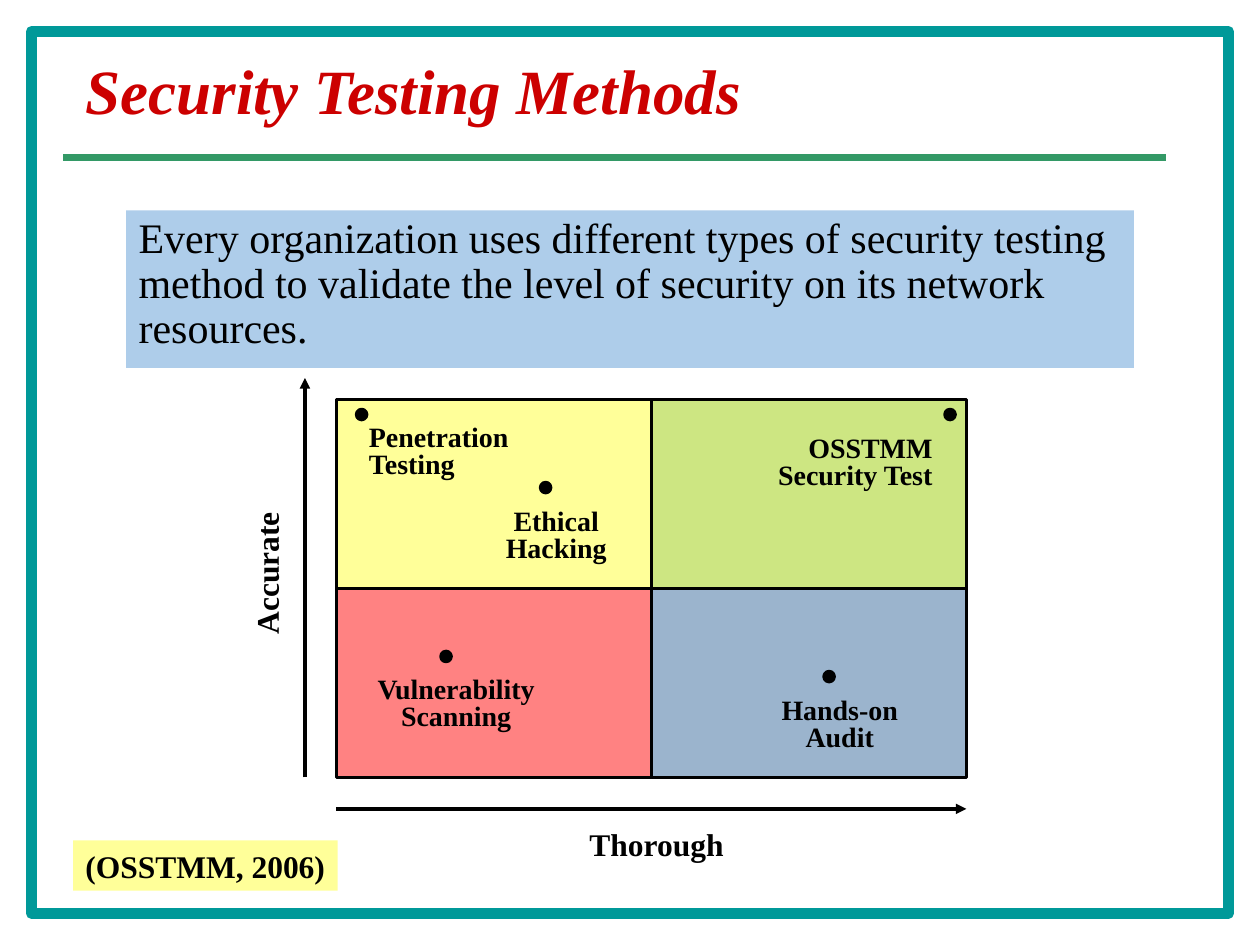
from typing import NamedTuple

from pptx import Presentation
from pptx.dml.color import RGBColor
from pptx.enum.shapes import MSO_CONNECTOR, MSO_SHAPE
from pptx.enum.text import MSO_ANCHOR, MSO_AUTO_SIZE, PP_ALIGN
from pptx.oxml.ns import qn
from pptx.util import Inches, Pt
from lxml.etree import SubElement

FONT = "Times New Roman"
COLORS = {
    "frame": "009999", "title": "CC0000", "rule": "339966", "black": "000000",
    "blue": "5B9BD5", "yellow": "FFFF99", "lime": "99CC00", "red": "FF0000",
    "steel": "336699",
}
GRID_LEFT, GRID_TOP, CELL_WIDTH, CELL_HEIGHT = 2.67, 3.17, 2.5, 1.5
DOT_SIZE = 0.08
TINT = 49


class Quadrant(NamedTuple):
    column: int
    row: int
    color: str
    opacity: int


class Method(NamedTuple):
    text: str
    dot: tuple[float, float]
    label: tuple[float, float, float]  # left, top, width
    align: PP_ALIGN = PP_ALIGN.CENTER


QUADRANTS = [
    Quadrant(0, 0, "yellow", 100),
    Quadrant(1, 0, "lime", TINT),
    Quadrant(0, 1, "red", TINT),
    Quadrant(1, 1, "steel", TINT),
]
METHODS = [
    Method("Penetration\nTesting", (2.83, 3.25), (2.83, 3.33, 1.33), PP_ALIGN.LEFT),
    Method("Ethical\nHacking", (4.29, 3.83), (3.83, 4, 1.17)),
    Method("OSSTMM Security Test", (7.5, 3.25), (5.83, 3.42, 1.67), PP_ALIGN.RIGHT),
    Method("Vulnerability\nScanning", (3.5, 5.17), (2.83, 5.33, 1.58)),
    Method("Hands-on Audit", (6.54, 5.33), (6.08, 5.5, 1.17)),
]


def rgb(name: str) -> RGBColor:
    return RGBColor.from_string(COLORS[name])


def set_fill(shape, color: str, opacity: int = 100) -> None:
    shape.fill.solid()
    shape.fill.fore_color.rgb = rgb(color)
    if opacity < 100:
        color_element = shape.fill._xPr.find(qn("a:solidFill"))[0]
        SubElement(color_element, qn("a:alpha")).set("val", str(opacity * 1000))


def place(shape, left: float, top: float, width: float, height: float) -> None:
    shape.left, shape.top = Inches(left), Inches(top)
    shape.width, shape.height = Inches(width), Inches(height)


def write_text(shape, text: str, *, size: float, color: str = "black",
               bold: bool = False, italic: bool = False, spacing: float = 1.0,
               align: PP_ALIGN = PP_ALIGN.LEFT, wrap: bool = True,
               anchor: MSO_ANCHOR = MSO_ANCHOR.TOP) -> None:
    frame = shape.text_frame
    frame.text = text
    frame.word_wrap = wrap
    frame.auto_size = MSO_AUTO_SIZE.NONE
    frame.vertical_anchor = anchor
    for paragraph in frame.paragraphs:
        paragraph.alignment = align
        paragraph.line_spacing = spacing
        paragraph.space_before = Pt(0)
        for run in paragraph.runs:
            font = run.font
            font.name, font.size = FONT, Pt(size)
            font.bold, font.italic = bold, italic
            font.color.rgb = rgb(color)


def add_box(slide, kind: MSO_SHAPE, left: float, top: float, width: float,
            height: float, *, fill: str | None, line: str, line_width: float,
            opacity: int = 100):
    shape = slide.shapes.add_shape(
        kind, Inches(left), Inches(top), Inches(width), Inches(height))
    shape.shadow.inherit = False
    if fill:
        set_fill(shape, fill, opacity)
    else:
        shape.fill.background()
    shape.line.color.rgb = rgb(line)
    shape.line.width = Pt(line_width)
    return shape


def add_label(slide, text: str, left: float, top: float, width: float,
              height: float, **text_format):
    label = slide.shapes.add_textbox(
        Inches(left), Inches(top), Inches(width), Inches(height))
    write_text(label, text, bold=True, **text_format)
    return label


def add_line(slide, start: tuple[float, float], end: tuple[float, float], *,
             color: str, width: float, arrow: bool = False) -> None:
    line = slide.shapes.add_connector(
        MSO_CONNECTOR.STRAIGHT, *map(Inches, start), *map(Inches, end))
    line.line.color.rgb = rgb(color)
    line.line.width = Pt(width)
    if arrow:
        SubElement(line.line._get_or_add_ln(), qn("a:tailEnd")).set("type", "triangle")
    SubElement(line._element.spPr, qn("a:effectLst"))


def main() -> None:
    presentation = Presentation()
    presentation.slide_width, presentation.slide_height = Inches(10), Inches(7.5)
    slide = presentation.slides.add_slide(presentation.slide_layouts[1])

    # Frame, title and rule
    add_box(slide, MSO_SHAPE.RECTANGLE, 0.25, 0.25, 9.5, 7,
            fill=None, line="frame", line_width=6.25)
    title = slide.shapes.title
    place(title, 0.58, 0.33, 9, 0.83)
    write_text(title, "Security Testing Methods", size=36, color="title",
               bold=True, italic=True, spacing=0.9, anchor=MSO_ANCHOR.MIDDLE)
    add_line(slide, (0.5, 1.25), (9.25, 1.25), color="rule", width=4)

    # Introduction, without a bullet
    body = slide.placeholders[1]
    place(body, 1, 1.67, 8, 1.25)
    set_fill(body, "blue", TINT)
    write_text(body, "Every organization uses different types of security testing "
               "method to validate the level of security on its network resources.",
               size=24, spacing=0.9)
    properties = body.text_frame.paragraphs[0]._p.get_or_add_pPr()
    properties.set("marL", "0")
    properties.set("indent", "0")
    SubElement(properties, qn("a:buNone"))

    # Quadrants
    for quadrant in QUADRANTS:
        add_box(slide, MSO_SHAPE.RECTANGLE,
                GRID_LEFT + quadrant.column * CELL_WIDTH,
                GRID_TOP + quadrant.row * CELL_HEIGHT, CELL_WIDTH, CELL_HEIGHT,
                fill=quadrant.color, opacity=quadrant.opacity,
                line="black", line_width=1.5)

    # Methods: a dot and its label
    for method in METHODS:
        add_box(slide, MSO_SHAPE.OVAL, *method.dot, DOT_SIZE, DOT_SIZE,
                fill="black", line="black", line_width=2)
        add_label(slide, method.text, *method.label, 0.53,
                  size=16, spacing=0.8, align=method.align)

    # Axes
    right = GRID_LEFT + 2 * CELL_WIDTH
    bottom = GRID_TOP + 2 * CELL_HEIGHT
    add_line(slide, (GRID_LEFT, bottom + 0.25), (right, bottom + 0.25),
             color="black", width=2, arrow=True)
    add_line(slide, (GRID_LEFT - 0.25, bottom), (GRID_LEFT - 0.25, 3),
             color="black", width=2, arrow=True)
    add_label(slide, "Thorough", 4.58, 6.5, 1.27, 0.4, size=18, wrap=False)
    accurate = add_label(slide, "Accurate", 1.53, 4.35, 1.17, 0.4, size=18, wrap=False)
    accurate.rotation = 270

    # Source
    citation = add_label(slide, "(OSSTMM, 2006)", 0.58, 6.67, 2.1, 0.4,
                         size=18, wrap=False)
    set_fill(citation, "yellow")

    presentation.save("out.pptx")


if __name__ == "__main__":
    main()
